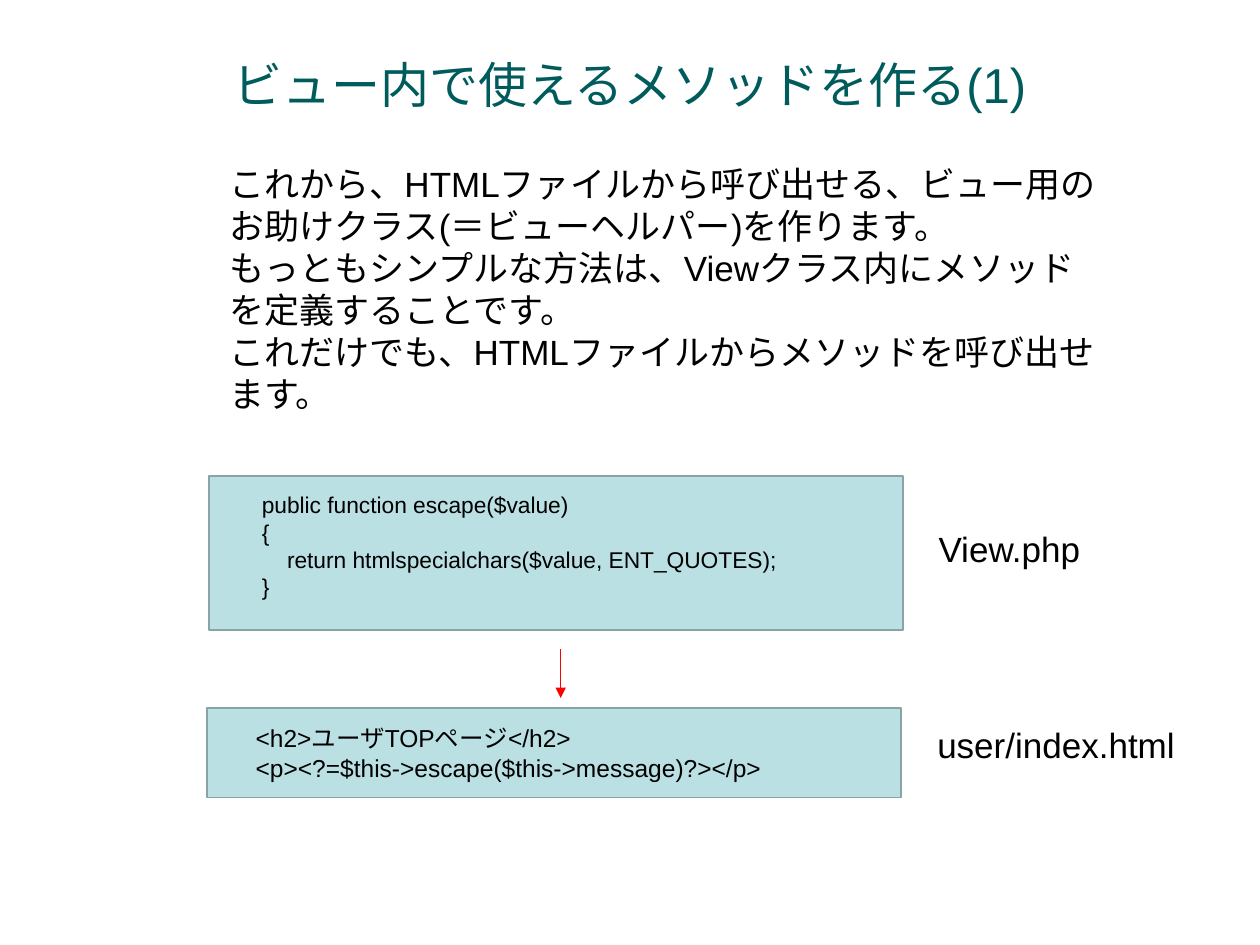
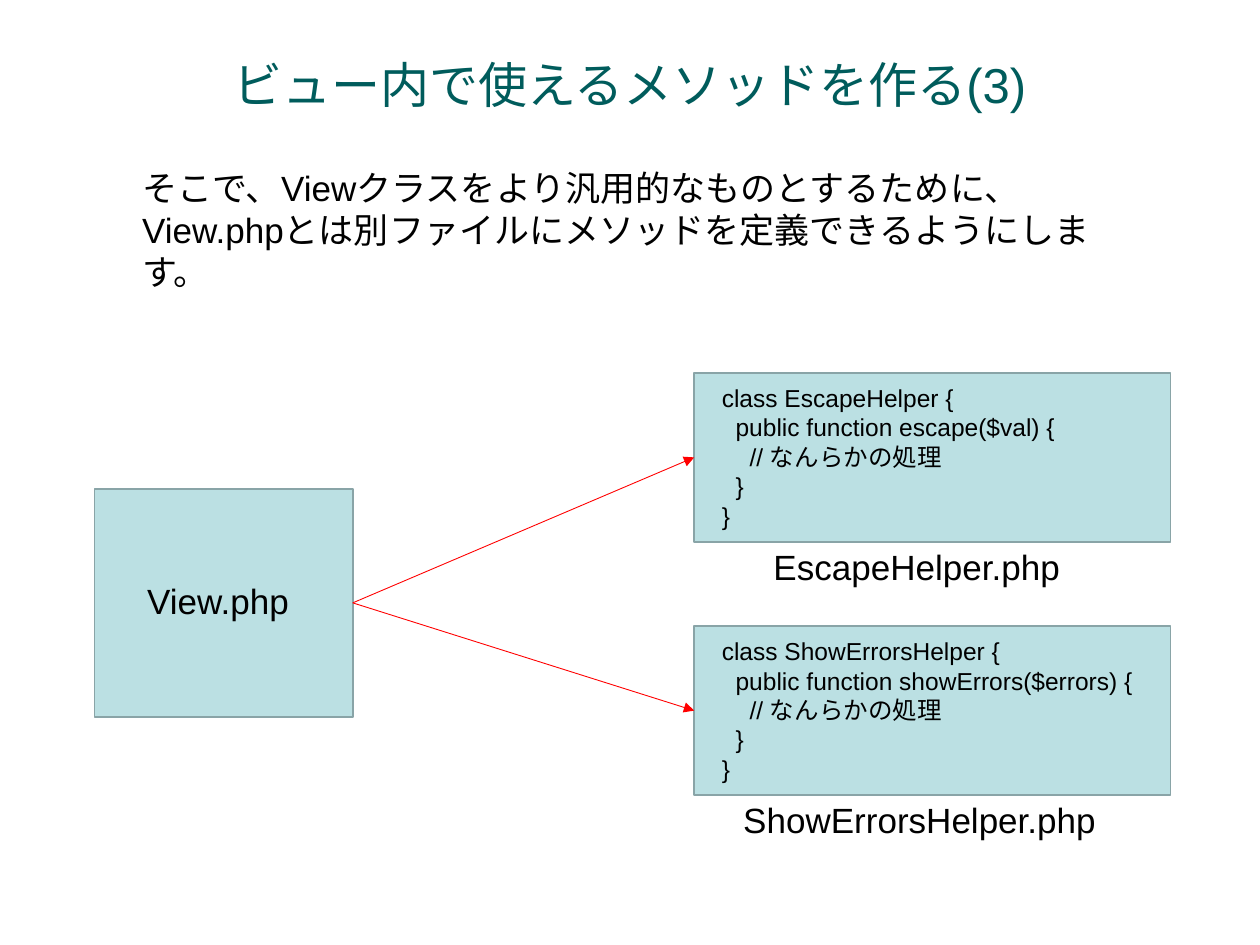
from dataclasses import dataclass

from lxml import etree
from pptx import Presentation
from pptx.dml.color import RGBColor
from pptx.enum.shapes import MSO_CONNECTOR, MSO_SHAPE
from pptx.enum.text import MSO_ANCHOR, PP_ALIGN
from pptx.oxml.ns import qn
from pptx.util import Inches, Pt

RECTANGLE = MSO_SHAPE.RECTANGLE
STRAIGHT = MSO_CONNECTOR.STRAIGHT
MIDDLE = MSO_ANCHOR.MIDDLE
CENTER = PP_ALIGN.CENTER
LEFT_SIDE, RIGHT_SIDE = 1, 3
TITLE_ONLY = 5


@dataclass(frozen=True)
class Theme:
    """Colours, font and type sizes shared by the slides."""

    font: str = "Arial"
    title_color: RGBColor = RGBColor(0x00, 0x5C, 0x5C)
    text_color: RGBColor = RGBColor(0x00, 0x00, 0x00)
    box_fill: RGBColor = RGBColor(0xBB, 0xE0, 0xE3)
    box_line: RGBColor = RGBColor(0x89, 0xA4, 0xA7)
    arrow_color: RGBColor = RGBColor(0xFF, 0x00, 0x00)
    title_size: float = 28
    body_size: float = 20
    code_size: float = 14
    small_code_size: float = 13
    line_ratio: float = 1.2


THEME = Theme()


def format_runs(paragraph, size, color):
    """Give every run of a paragraph the theme font, a size and a colour."""
    for span in paragraph.runs:
        span.font.name = THEME.font
        span.font.size = Pt(size)
        span.font.color.rgb = color


def add_titled_page(deck, title):
    """Add a page with its title placeholder filled and formatted."""
    page = deck.slides.add_slide(deck.slide_layouts[TITLE_ONLY])
    box = page.shapes.title
    box.left, box.top = Inches(0.75), Inches(0.25)
    box.width, box.height = Inches(8.5), Inches(0.83)
    frame = box.text_frame
    frame.text = title
    frame.vertical_anchor = MIDDLE
    frame.paragraphs[0].alignment = CENTER
    format_runs(frame.paragraphs[0], THEME.title_size, THEME.title_color)
    return page


def add_text(page, left, top, width, height, lines, size=THEME.body_size):
    """Add a wrapped text box with one paragraph per line and return its paragraphs."""
    box = page.shapes.add_textbox(Inches(left), Inches(top), Inches(width), Inches(height))
    frame = box.text_frame
    frame.word_wrap = True
    frame.text = "\n".join(lines)
    for para in frame.paragraphs:
        para.line_spacing = Pt(size * THEME.line_ratio)
        format_runs(para, size, THEME.text_color)
    return frame.paragraphs


def add_code(page, left, top, width, height, lines, step, size=THEME.code_size):
    """Add code given as (level, text) pairs, indented by step inches per level."""
    paragraphs = add_text(page, left, top, width, height, [text for _, text in lines], size)
    for para, (level, _) in zip(paragraphs, lines):
        margin = Inches(round(level * step, 2))
        para._p.get_or_add_pPr().set("marL", str(margin))


def add_box(page, left, top, width, height):
    """Add a filled, outlined rectangle."""
    box = page.shapes.add_shape(
        RECTANGLE, Inches(left), Inches(top), Inches(width), Inches(height)
    )
    box.shadow.inherit = False
    box.fill.solid()
    box.fill.fore_color.rgb = THEME.box_fill
    box.line.color.rgb = THEME.box_line
    box.line.width = Pt(1)
    return box


def add_arrow(page, start=(0, 0), end=(0, 0)):
    """Add a thin arrow between two points given in inches."""
    arrow = page.shapes.add_connector(STRAIGHT, *map(Inches, start + end))
    arrow.line.color.rgb = THEME.arrow_color
    arrow.line.width = Pt(0.5)
    etree.SubElement(arrow.line._get_or_add_ln(), qn("a:tailEnd"), type="triangle")
    etree.SubElement(arrow._element.spPr, qn("a:effectLst"))
    return arrow


def join_boxes(page, source, target):
    """Draw an arrow from a box's right side to another box's left side."""
    arrow = add_arrow(page)
    arrow.begin_connect(source, RIGHT_SIDE)
    arrow.end_connect(target, LEFT_SIDE)


def add_helper(page, top, class_name, signature, name_left, name_width):
    """Add a helper class box with its code and file name, and return the box."""
    box = add_box(page, 5.51, top, 3.78, 1.34)
    code = [
        (0, f"class {class_name} {{"),
        (1, f"public function {signature} {{"),
        (2, "// なんらかの処理"),
        (1, "}"),
        (0, "}"),
    ]
    add_code(page, 5.63, top + 0.03, 3.51, 1.27, code, step=0.11)
    add_text(page, name_left, top + 1.32, name_width, 0.44, [f"{class_name}.php"])
    return box


def build_view_method_page(deck):
    """Build the page that defines a method inside the View class."""
    page = add_titled_page(deck, "ビュー内で使えるメソッドを作る(1)")
    add_text(page, 1.72, 1.24, 7.08, 2.1, [
        "これから、HTMLファイルから呼び出せる、ビュー用のお助けクラス(＝ビューヘルパー)を作ります。",
        "もっともシンプルな方法は、Viewクラス内にメソッドを定義することです。",
        "これだけでも、HTMLファイルからメソッドを呼び出せます。",
    ])
    add_box(page, 1.66, 3.78, 5.51, 1.22)
    add_code(page, 1.78, 3.85, 5.7, 0.97, [
        (1, "public function escape($value)"),
        (1, "{"),
        (2, "return htmlspecialchars($value, ENT_QUOTES);"),
        (1, "}"),
    ], step=0.2, size=THEME.small_code_size)
    add_text(page, 7.35, 4.14, 1.45, 0.44, ["View.php"])
    add_box(page, 1.64, 5.62, 5.51, 0.71)
    add_text(page, 1.93, 5.69, 5.41, 0.57, [
        "<h2>ユーザTOPページ</h2>",
        "<p><?=$this->escape($this->message)?></p>",
    ], THEME.code_size)
    add_text(page, 7.34, 5.69, 2.21, 0.44, ["user/index.html"])
    add_arrow(page, (4.45, 5.15), (4.45, 5.54))


def build_helper_files_page(deck):
    """Build the page that moves the methods into helper files."""
    page = add_titled_page(deck, "ビュー内で使えるメソッドを作る(3)")
    add_text(page, 1.03, 1.27, 7.82, 1.1, [
        "そこで、Viewクラスをより汎用的なものとするために、",
        "View.phpとは別ファイルにメソッドを定義できるようにします。",
    ])
    view = add_box(page, 0.75, 3.88, 2.05, 1.81)
    add_text(page, 1.07, 4.55, 1.45, 0.44, ["View.php"])
    helpers = [
        (2.96, "EscapeHelper", "escape($val)", 6.04, 2.68),
        (4.97, "ShowErrorsHelper", "showErrors($errors)", 5.8, 3.19),
    ]
    for helper in helpers:
        join_boxes(page, view, add_helper(page, *helper))


def main():
    """Build the deck and save it."""
    deck = Presentation()
    deck.slide_width, deck.slide_height = Inches(10), Inches(7.5)
    build_view_method_page(deck)
    build_helper_files_page(deck)
    deck.save("out.pptx")


if __name__ == "__main__":
    main()
